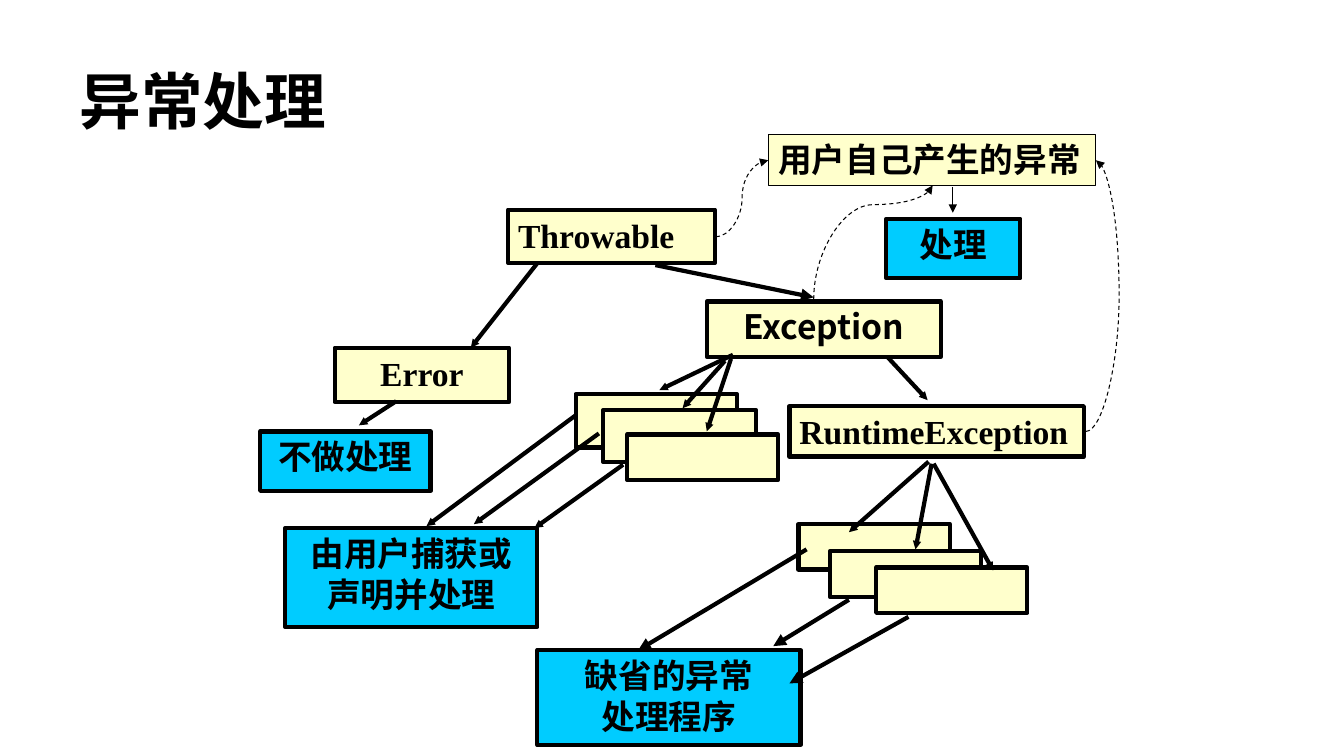
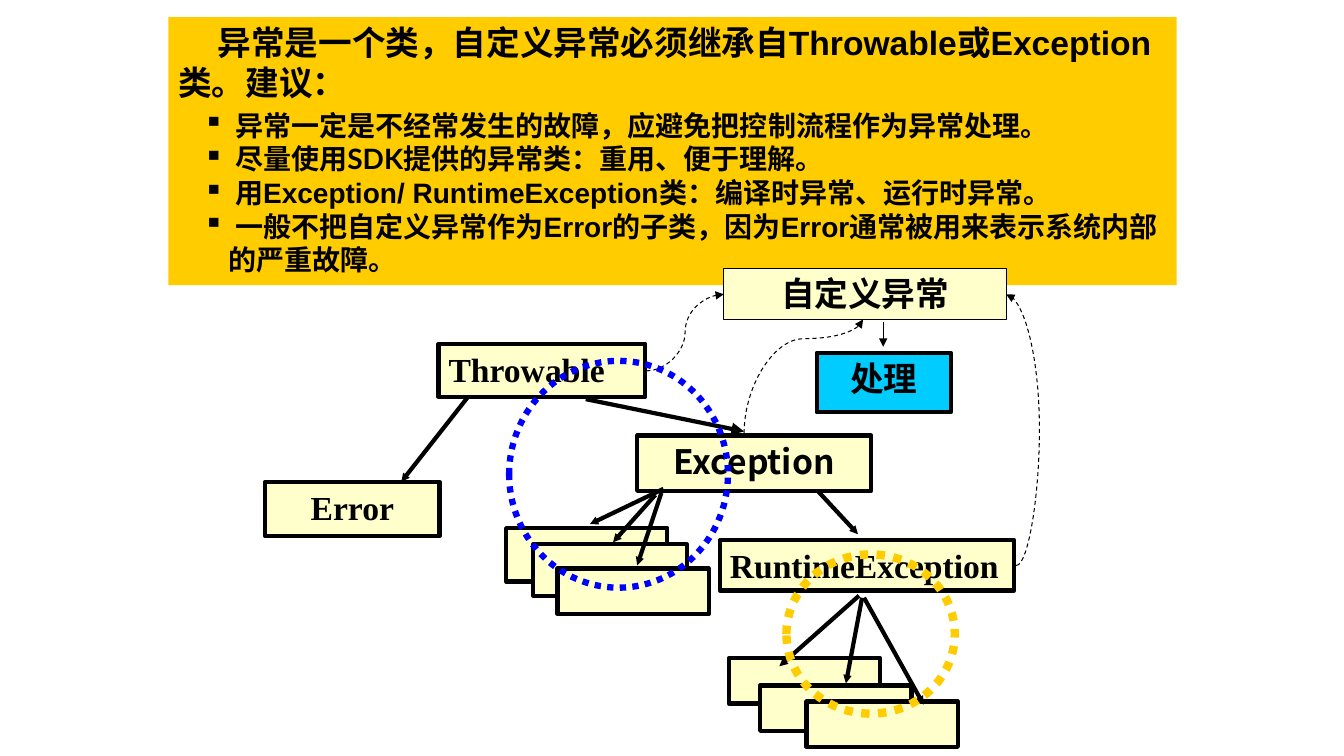
from dataclasses import dataclass

from lxml.etree import SubElement
from pptx import Presentation
from pptx.dml.color import RGBColor
from pptx.enum.dml import MSO_LINE
from pptx.enum.shapes import MSO_CONNECTOR, MSO_SHAPE
from pptx.enum.text import MSO_ANCHOR, PP_ALIGN
from pptx.oxml.ns import qn
from pptx.util import Inches, Pt


@dataclass(frozen=True)
class Theme:
    ink: RGBColor = RGBColor.from_string("000000")
    node: RGBColor = RGBColor.from_string("FFFFCC")
    action: RGBColor = RGBColor.from_string("00CCFF")
    accent: RGBColor = RGBColor.from_string("FFCC00")
    ring: RGBColor = RGBColor.from_string("0000FF")
    serif: str = "Times New Roman"
    sans: str = "Arial"
    light: str = "Lato"
    heading: str = "Noto Sans CJK SC"
    title_size: int = 44
    body_size: int = 24
    bullet_size: int = 20
    thick: float = 3
    thin: float = 0.75


theme = Theme()
CELL = Inches(1)  # one grid column or row
LEFT, CENTER = PP_ALIGN.LEFT, PP_ALIGN.CENTER

deck = Presentation()
deck.slide_width, deck.slide_height = Inches(13.33), Inches(7.5)


def add_box(page, at, lines=(), fill=None, edge=theme.ink, weight=theme.thick, align=CENTER,
            font=theme.serif, size=theme.body_size, shift=(0, 0), kind=MSO_SHAPE.RECTANGLE):
    """Place a shape on the grid and write one paragraph for each line."""
    left, top, width, height = at
    place = [int(n * CELL) for n in (left + shift[0], top + shift[1], width, height)]
    box = page.shapes.add_shape(kind, *place) if kind else page.shapes.add_textbox(*place)
    if kind:
        box.shadow.inherit = False
    if fill is None:
        box.fill.background()
    else:
        box.fill.solid()
        box.fill.fore_color.rgb = fill
    if weight:
        box.line.color.rgb = edge
        box.line.width = Pt(weight)
    else:
        box.line.fill.background()
    frame = box.text_frame
    frame.word_wrap = True
    frame.vertical_anchor = MSO_ANCHOR.TOP
    for number, text in enumerate(lines):
        para = frame.add_paragraph() if number else frame.paragraphs[0]
        para.alignment = align
        span = para.add_run()
        span.text = text
        span.font.name, span.font.size, span.font.bold = font, Pt(size), True
        span.font.color.rgb = theme.ink
    return box


def add_arrow(page, start, end, shift=(0, 0), weight=theme.thick, head="sm", bend=None, upright=False):
    """Draw an arrow; bend is the column (or row, if upright) where a dashed curve turns."""
    (x1, y1), (x2, y2) = start, end
    if bend is not None:
        share = (bend - y1) / (y2 - y1) if upright else (bend - x1) / (x2 - x1)
    if upright:
        # The frame lies on its side and is turned a quarter about its centre.
        middle_x, middle_y = (x1 + x2) / 2, (y1 + y2) / 2
        half_width, half_height = abs(y2 - y1) / 2, abs(x2 - x1) / 2
        x1, y1 = middle_x + half_width, middle_y + half_height
        x2, y2 = middle_x - half_width, middle_y - half_height
    kind = MSO_CONNECTOR.STRAIGHT if bend is None else MSO_CONNECTOR.CURVE
    ends = (x1 + shift[0], y1 + shift[1], x2 + shift[0], y2 + shift[1])
    arrow = page.shapes.add_connector(kind, *[int(n * CELL) for n in ends])
    arrow.line.color.rgb = theme.ink
    arrow.line.width = Pt(weight)
    properties = arrow._element.spPr
    if bend is not None:
        arrow.line.dash_style = MSO_LINE.DASH
        geometry = properties.find(qn("a:prstGeom"))
        SubElement(geometry.find(qn("a:avLst")), qn("a:gd"),
                   name="adj1", fmla=f"val {round(share * 100000)}")
    if upright:
        properties.find(qn("a:xfrm")).set("rot", str(90 * 60000))
    SubElement(properties.find(qn("a:ln")), qn("a:tailEnd"), type="triangle", w=head, len=head)
    SubElement(properties, qn("a:effectLst"))


# Class tree shared by both slides
named_nodes = [
    ("Throwable", (5.04, 2.08, 2.05, 0.53), LEFT, theme.serif),
    ("Error", (3.32, 3.45, 1.73, 0.54), CENTER, theme.serif),
    ("Exception", (7.01, 2.99, 2.32, 0.55), CENTER, theme.heading),
    ("RuntimeException", (7.83, 4.03, 2.92, 0.5), LEFT, theme.serif),
]
subclass_nodes = [
    (5.71, 3.91, 1.6, 0.53), (5.98, 4.07, 1.52, 0.51), (6.22, 4.31, 1.5, 0.45),
    (7.92, 5.2, 1.5, 0.45), (8.23, 5.47, 1.5, 0.45), (8.69, 5.63, 1.5, 0.45),
]
tree_arrows = [
    ((5.33, 2.61), (4.67, 3.45), "sm"), ((6.5, 2.63), (8.07, 2.95), "med"),
    ((7.27, 3.52), (6.54, 3.87), "sm"), ((7.19, 3.58), (6.77, 4.05), "sm"),
    ((7.25, 3.56), (7.01, 4.28), "sm"), ((8.8, 3.54), (9.2, 3.97), "sm"),
    ((9.21, 4.58), (8.42, 5.28), "sm"), ((9.24, 4.6), (9.08, 5.45), "sm"),
    ((9.26, 4.6), (9.85, 5.66), "sm"),
]

overview = deck.slides.add_slide(deck.slide_layouts[6])
advice = deck.slides.add_slide(deck.slide_layouts[6])

# Overview: title
title = add_box(overview, (0.69, 0.43, 4.28, 0.9), ["异常处理"], weight=0, align=LEFT,
                font=theme.heading, size=theme.title_size, kind=None)
title.text_frame.paragraphs[0].line_spacing = 1.2

# Advice: panel with an opening sentence and bullets
panel = add_box(advice, (1.67, 0.17, 10, 2.66), [
    "异常是一个类，自定义异常必须继承自Throwable或Exception类。建议：",
    " 异常一定是不经常发生的故障，应避免把控制流程作为异常处理。",
    " 尽量使用SDK提供的异常类：重用、便于理解。",
    " 用Exception/ RuntimeException类：编译时异常、运行时异常。",
    " 一般不把自定义异常作为Error的子类，因为Error通常被用来表示系统内部的严重故障。",
], fill=theme.accent, weight=0, align=LEFT, font=theme.sans)
opening, *bullets = panel.text_frame.paragraphs
opening._p.get_or_add_pPr().set("indent", str(Inches(0.39)))
bullets[0].space_before = Pt(4)
for number, para in enumerate(bullets):
    para.level = 1
    settings = para._p.get_or_add_pPr()
    settings.set("marL", str(Inches(0.5)))
    settings.set("indent", str(-Inches(0.25)))
    SubElement(settings, qn("a:buChar"), char="▪")
    span = para.runs[0]
    span.font.size = Pt(theme.bullet_size)
    span.font.name = theme.light if number < 2 else theme.sans

# Tree on each slide, with its own label, label place and outer turn
views = [
    (overview, (0, 0), "用户自己产生的异常", LEFT, 7.62, 3.25, 11.1),
    (advice, (-0.69, 1.33), "自定义异常", CENTER, 7.87, 2.8, 11),
]
for page, shift, label, align, left, width, outer in views:
    for name, at, side, font in named_nodes:
        add_box(page, at, [name], theme.node, align=side, font=font, shift=shift)
    for at in subclass_nodes:
        add_box(page, at, fill=theme.node, shift=shift)
    for start, end, head in tree_arrows:
        add_arrow(page, start, end, shift, head=head)
    custom = add_box(page, (left, 1.33, width, 0.51), [label], theme.node,
                     weight=theme.thin, align=align, shift=shift)
    custom.text_frame.word_wrap = align == CENTER
    add_box(page, (8.79, 2.17, 1.33, 0.59), ["处理"], theme.action, shift=shift)
    thin = {"shift": shift, "weight": theme.thin, "head": "med"}
    add_arrow(page, (9.45, 1.86), (9.45, 2.11), **thin)
    add_arrow(page, (8.07, 2.97), (9.25, 1.84), bend=2.03, upright=True, **thin)
    add_arrow(page, (7.1, 2.35), (left, 1.59), bend=(7.1 + left) / 2, **thin)
    add_arrow(page, (10.77, 4.28), (left + width, 1.59), bend=outer, **thin)

# Overview: how each branch is handled
handlers = [
    (["缺省的异常", "处理程序"], (5.33, 6.45, 2.61, 0.94)),
    (["由用户捕获或", "声明并处理"], (2.83, 5.24, 2.5, 0.98)),
    (["不做处理"], (2.58, 4.28, 1.69, 0.59)),
]
for lines, at in handlers:
    add_box(overview, at, lines, theme.action)
handler_arrows = [
    ((8, 5.45), (6.33, 6.45), "med"), ((8.42, 5.95), (7.67, 6.41), "med"),
    ((9.01, 6.12), (7.83, 6.78), "med"), ((5.71, 4.12), (4.23, 5.22), "sm"),
    ((5.94, 4.3), (4.7, 5.2), "sm"), ((6.18, 4.61), (5.3, 5.24), "sm"),
    ((3.93, 3.98), (3.56, 4.22), "sm"),
]
for start, end, head in handler_arrows:
    add_arrow(overview, start, end, head=head)

# Advice: dotted rings around the two groups of subclasses
rings = [((5.05, 3.58, 2.17, 2.25), theme.ring, 4.5), ((7.8, 5.5, 1.67, 1.58), theme.accent, 6)]
for at, edge, weight in rings:
    ring = add_box(advice, at, edge=edge, weight=weight, kind=MSO_SHAPE.OVAL)
    ring.line.dash_style = MSO_LINE.ROUND_DOT

deck.save("out.pptx")
